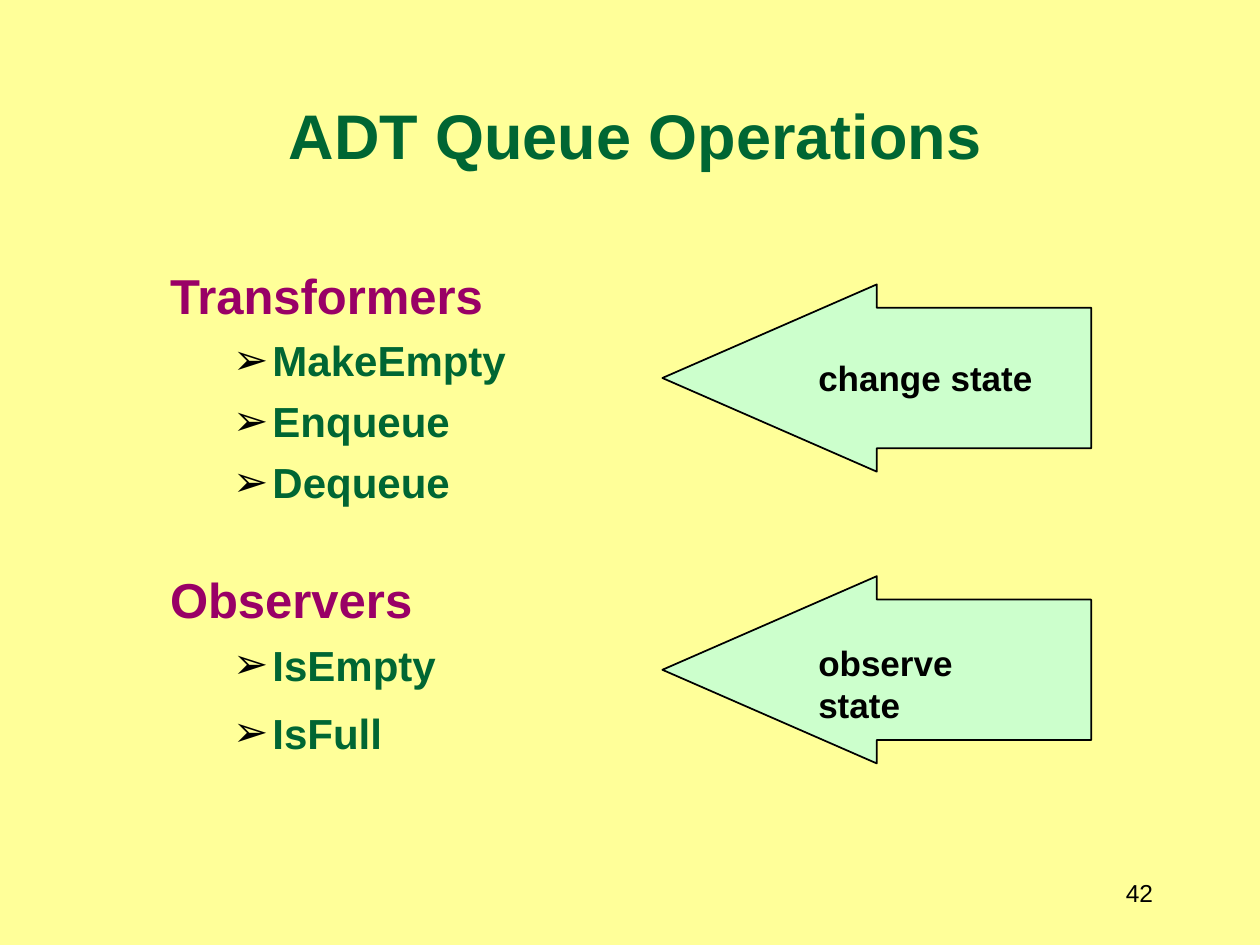
import pptx
import pptx.dml.color
import pptx.enum.shapes
import pptx.enum.text
import pptx.oxml
import pptx.oxml.ns
import pptx.util

Pt = pptx.util.Pt
ALIGN = pptx.enum.text.PP_ALIGN
ANCHOR = pptx.enum.text.MSO_ANCHOR
COLOURS = {
    "page": "FFFF99",
    "green": "006633",
    "purple": "990066",
    "arrow": "CCFFCC",
    "black": "000000",
}
GROUPS = [
    ("Transformers", ["MakeEmpty", "Enqueue", "Dequeue"]),
    ("Observers", ["IsEmpty", "IsFull"]),
]


def colour(name):
    return pptx.dml.color.RGBColor.from_string(COLOURS[name])


def place(shape, box):
    shape.left, shape.top, shape.width, shape.height = (Pt(length) for length in box)


def style(para, size, name, bold=True):
    para.font.name = "Arial"
    para.font.size = Pt(size)
    para.font.bold = bold
    para.font.color.rgb = colour(name)


def set_bullet(para, margin, indent, mark=None):
    properties = para._p.get_or_add_pPr()
    properties.set("marL", str(Pt(margin)))
    properties.set("indent", str(Pt(indent)))
    namespace = pptx.oxml.ns.nsdecls("a")
    if mark:
        parts = [
            f'<a:buClr {namespace}><a:srgbClr val="{COLOURS["black"]}"/></a:buClr>',
            f'<a:buFont {namespace} typeface="Arial"/>',
            f'<a:buChar {namespace} char="{mark}"/>',
        ]
    else:
        parts = [f"<a:buNone {namespace}/>"]
    for part in parts:
        properties.append(pptx.oxml.parse_xml(part))


def add_title(page, box):
    title = page.shapes.title
    place(title, box)
    frame = title.text_frame
    frame.auto_size = pptx.enum.text.MSO_AUTO_SIZE.NONE
    frame.vertical_anchor = ANCHOR.BOTTOM
    frame.text = "ADT Queue Operations"
    frame.paragraphs[0].alignment = ALIGN.CENTER
    style(frame.paragraphs[0], 36, "green")


def add_operations(page, box):
    body = page.placeholders[1]
    place(body, box)
    frame = body.text_frame
    frame.auto_size = pptx.enum.text.MSO_AUTO_SIZE.NONE
    para = frame.paragraphs[0]
    for heading, operations in GROUPS:
        if para.text:
            para = frame.add_paragraph()
            para.space_before = Pt(36)
        else:
            para.space_before = Pt(6)
        para.text = heading
        set_bullet(para, 27, -27)
        style(para, 28, "purple")
        for operation in operations:
            para = frame.add_paragraph()
            para.text = operation
            para.level = 1
            para.space_before = Pt(6)
            set_bullet(para, 58.5, -22.5, "➢")
            style(para, 24, "green")
    para.space_before = Pt(10)


def add_text(page, box, text, size, bold, align, anchor):
    label = page.shapes.add_textbox(*(Pt(length) for length in box))
    frame = label.text_frame
    frame.word_wrap = True
    frame.vertical_anchor = anchor
    frame.text = text
    frame.paragraphs[0].alignment = align
    style(frame.paragraphs[0], size, "black", bold)


def add_arrow(page, box, text, label_drop):
    left, top, width, height = box
    arrow = page.shapes.add_shape(
        pptx.enum.shapes.MSO_SHAPE.LEFT_ARROW, *(Pt(length) for length in box)
    )
    arrow.adjustments[0] = 0.75
    arrow.adjustments[1] = 1.145
    arrow.shadow.inherit = False
    arrow.fill.solid()
    arrow.fill.fore_color.rgb = colour("arrow")
    arrow.line.color.rgb = colour("black")
    arrow.line.width = Pt(1)
    label_box = (left + 82, top + label_drop, 143, height - label_drop)
    add_text(page, label_box, text, 20, True, ALIGN.LEFT, ANCHOR.TOP)


def main():
    deck = pptx.Presentation()
    deck.slide_width, deck.slide_height = Pt(720), Pt(540)
    page = deck.slides.add_slide(deck.slide_layouts[1])
    page.background.fill.solid()
    page.background.fill.fore_color.rgb = colour("page")
    add_title(page, (24, 6, 678, 96))
    add_operations(page, (90, 148, 510, 330))
    add_arrow(page, (378.5, 162.5, 245, 107), "change state", 37.5)
    add_arrow(page, (378.5, 329.25, 245, 107), "observe state", 33.5)
    add_text(page, (618, 492, 48, 36), "42", 14, False, ALIGN.RIGHT, ANCHOR.MIDDLE)
    deck.save("out.pptx")


if __name__ == "__main__":
    main()
